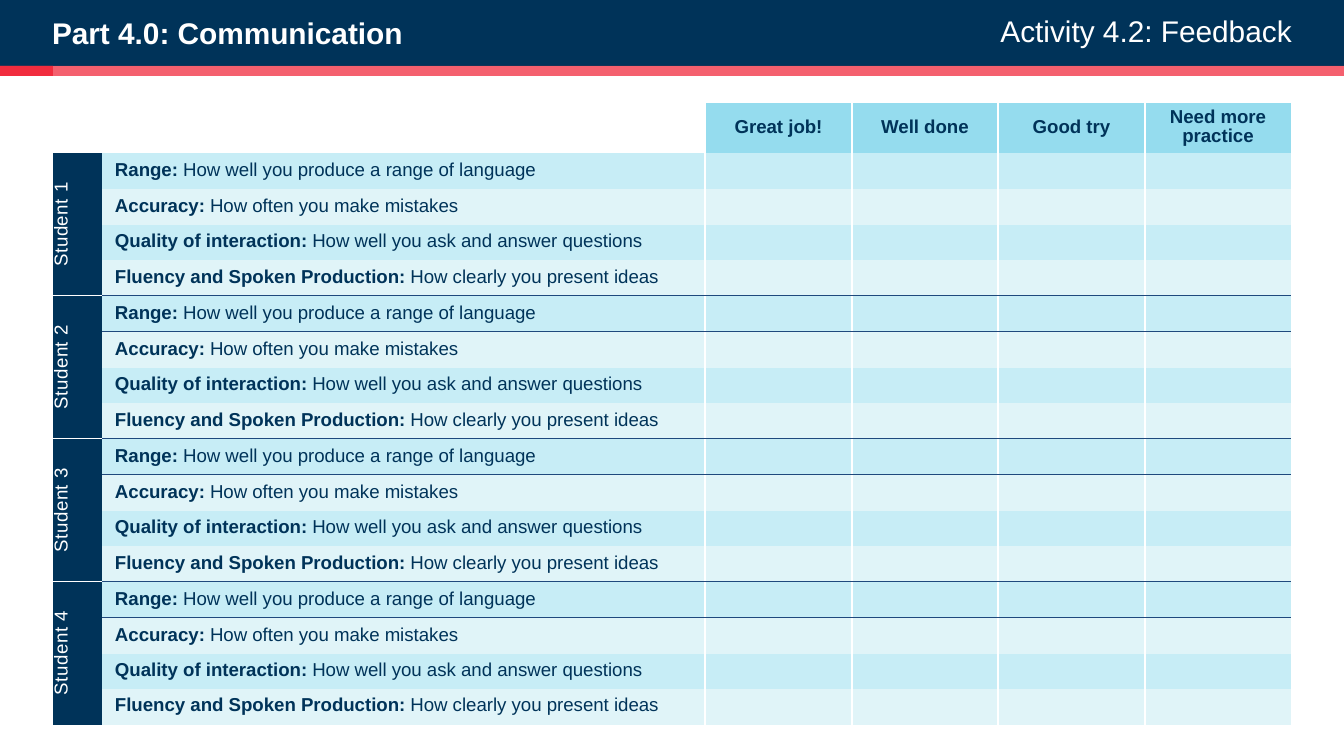
from lxml import etree
from pptx import Presentation
from pptx.dml.color import RGBColor
from pptx.enum.shapes import MSO_SHAPE
from pptx.enum.text import MSO_ANCHOR, MSO_AUTO_SIZE, PP_ALIGN
from pptx.oxml.ns import qn
from pptx.util import Pt

RECT = MSO_SHAPE.RECTANGLE
TOP, MID = MSO_ANCHOR.TOP, MSO_ANCHOR.MIDDLE
LEFT, MIDDLE, RIGHT = PP_ALIGN.LEFT, PP_ALIGN.CENTER, PP_ALIGN.RIGHT
NONE = MSO_AUTO_SIZE.NONE

WHITE = RGBColor(0xFF, 0xFF, 0xFF)
NAVY = RGBColor(0x00, 0x33, 0x59)
BLUE = RGBColor(0x1F, 0x49, 0x7D)
RED = RGBColor(0xF1, 0x2C, 0x3E)
SKY = RGBColor(0x95, 0xDC, 0xEE)
PALE = RGBColor(0xC7, 0xED, 0xF6)
MIST = RGBColor(0xE0, 0xF4, 0xF8)

WIDE, HIGH = 1344, 756
SCALE = 9144000 / WIDE
PLAIN = "{2D5ABB26-0587-4C30-8999-92F81FD0307C}"

GRADES = ["Great job!", "Well done", "Good try", "Need more practice"]
SKILLS = [
    ("Range: ", "How well you produce a range of language"),
    ("Accuracy:", " How often you make mistakes"),
    ("Quality of interaction: ", "How well you ask and answer questions"),
    ("Fluency and Spoken Production: ", "How clearly you present ideas"),
]
STUDENTS = 4
COLS = [49, 603, 147, 146, 147, 146]
HEAD = 50
ROWS = [36, 36, 35, 36]


def px(n):
    return round(n * SCALE)


def set_all(item, values):
    for name, value in values.items():
        setattr(item, name, value)


def add_run(para, text, size, color, bold=False):
    run = para.add_run()
    run.text = text
    set_all(run.font, {"name": "Arial", "size": Pt(size), "bold": bold})
    run.font.color.rgb = color
    return run


def add_bar(slide, box, color, alpha=None):
    bar = slide.shapes.add_shape(RECT, *map(px, box))
    bar.shadow.inherit = False
    bar.fill.solid()
    bar.fill.fore_color.rgb = color
    bar.line.fill.background()
    if alpha:
        tint = bar.element.spPr.find(".//" + qn("a:srgbClr"))
        etree.SubElement(tint, qn("a:alpha"), val=str(alpha * 1000))
    return bar


def fill_text(shape, box, text, align, bold):
    set_all(shape, dict(zip(("left", "top", "width", "height"), map(px, box))))
    set_all(shape.text_frame, {
        "margin_left": 0, "margin_top": 0, "margin_right": 0,
        "margin_bottom": 0, "word_wrap": True, "auto_size": NONE,
        "vertical_anchor": TOP,
    })
    para = shape.text_frame.paragraphs[0]
    set_all(para, {"alignment": align, "line_spacing": 1.0})
    add_run(para, text, 16, WHITE, bold)


def add_header(slide, box):
    x, y, w, h = box
    band = add_bar(slide, (x, y, w, 66), NAVY)
    title = slide.shapes.title
    band.element.addnext(title.element)
    fill_text(title, (x + 52, y + 15, 760, 36),
              "Part 4.0: Communication", LEFT, True)
    note = slide.shapes.add_textbox(0, 0, 0, 0)
    fill_text(note, (x + w - 528, y + 13, 476, 38),
              "Activity 4.2: Feedback", RIGHT, False)
    add_bar(slide, (x, y + 66, w, h - 66), RED, 75)
    add_bar(slide, (x, y + 66, 53, h - 66), RED)


def set_edges(cell, edges):
    props = cell._tc.get_or_add_tcPr()
    sides = [side for side in "LRTB" if side in edges]
    for i, side in enumerate(sides):
        line = etree.Element(qn("a:ln" + side), w=str(Pt(0.75)))
        paint = etree.SubElement(line, qn("a:solidFill"))
        etree.SubElement(paint, qn("a:srgbClr"), val=str(edges[side]))
        props.insert(i, line)


def set_cell(cell, color, parts=(), align=LEFT, edges=None):
    set_all(cell, {
        "margin_left": px(13), "margin_right": px(13), "margin_top": 0,
        "margin_bottom": 0, "vertical_anchor": MID,
    })
    if color is None:
        cell.fill.background()
    else:
        cell.fill.solid()
        cell.fill.fore_color.rgb = color
    para = cell.text_frame.paragraphs[0]
    set_all(para, {"alignment": align, "line_spacing": Pt(10)})
    for text, ink, bold in parts:
        add_run(para, text, 10, ink, bold)
    if not parts:
        etree.SubElement(para._p, qn("a:endParaRPr"), sz="1000")
    set_edges(cell, edges or {})


def col_edges(col):
    edges = {}
    if col > 1:
        edges["L"] = WHITE
    if 0 < col < len(COLS) - 1:
        edges["R"] = WHITE
    return edges


def add_student(table, num):
    count = len(SKILLS)
    first = 1 + num * count
    last = first + count - 1
    for i, (name, text) in enumerate(SKILLS):
        for col in range(len(COLS)):
            edges = col_edges(col)
            rule = BLUE if col else WHITE
            if i == 0 and num > 0:
                edges["T"] = rule
            if i == count - 1 and num < STUDENTS - 1:
                edges["B"] = rule
            color = (PALE, MIST)[i % 2] if col else NAVY
            parts = [(name, NAVY, True), (text, NAVY, False)] if col == 1 else []
            if col == 0 and i == 0:
                parts = [(f"Student {num + 1}", WHITE, False)]
            set_cell(table.cell(first + i, col), color, parts,
                     LEFT if col else MIDDLE, edges)
    label = table.cell(first, 0)
    label.merge(table.cell(last, 0))
    label._tc.get_or_add_tcPr().set("vert", "vert270")
    run = label.text_frame.paragraphs[0].runs[0]
    run.font._element.set("spc", "30")


def add_rubric(slide, box):
    heights = [HEAD] + ROWS * STUDENTS
    frame = slide.shapes.add_table(len(heights), len(COLS), *map(px, box))
    table = frame.table
    set_all(table, {"first_row": False, "horz_banding": False})
    table._tbl.tblPr.find(qn("a:tableStyleId")).text = PLAIN
    for col, width in zip(table.columns, COLS):
        col.width = px(width)
    for row, height in zip(table.rows, heights):
        row.height = px(height)
    for col in range(2):
        set_cell(table.cell(0, col), None)
    for col, grade in enumerate(GRADES, 2):
        set_cell(table.cell(0, col), SKY, [(grade, NAVY, True)], MIDDLE,
                 col_edges(col))
    for num in range(STUDENTS):
        add_student(table, num)


def main():
    deck = Presentation()
    set_all(deck, {"slide_width": px(WIDE), "slide_height": px(HIGH)})
    slide = deck.slides.add_slide(deck.slide_layouts[5])
    add_header(slide, (0, 0, WIDE, 76))
    add_rubric(slide, (53, 103, sum(COLS), HEAD + sum(ROWS) * STUDENTS))
    deck.save("out.pptx")


if __name__ == "__main__":
    main()
